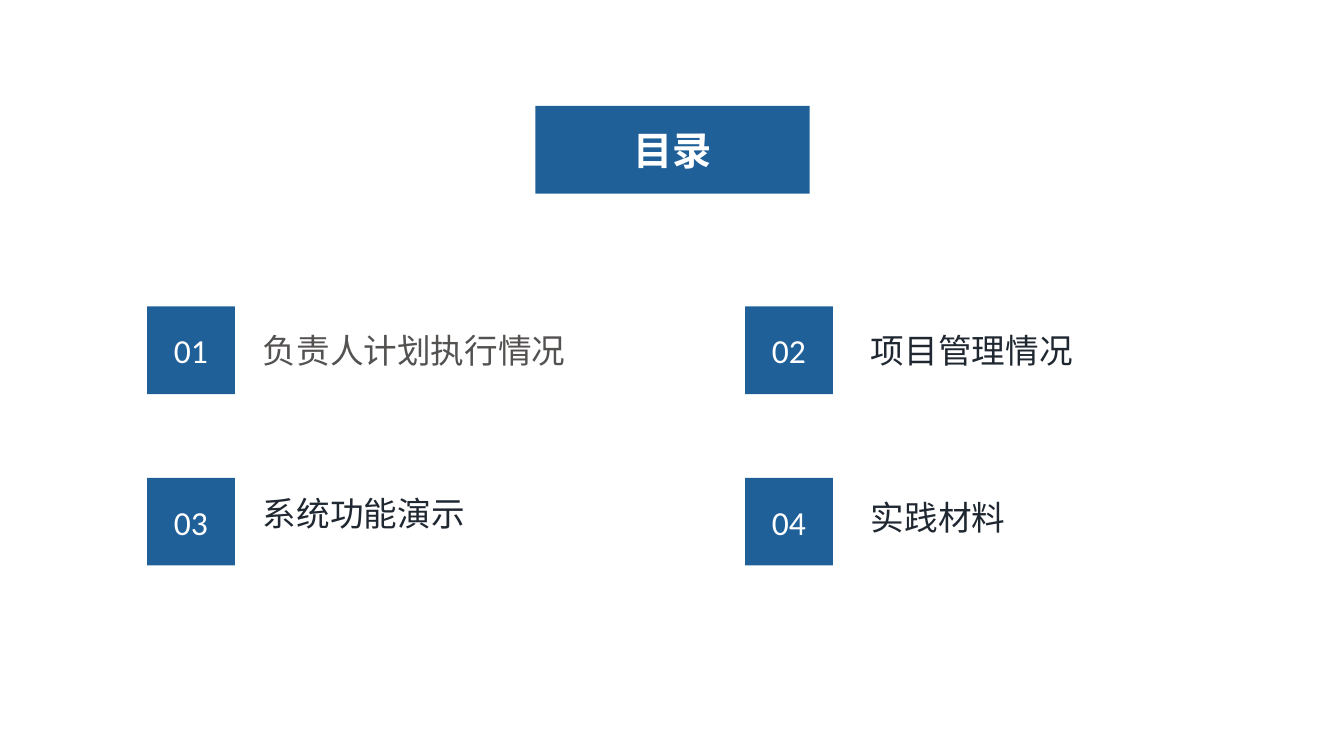
from dataclasses import dataclass

from pptx import Presentation
from pptx.dml.color import RGBColor
from pptx.enum.shapes import MSO_SHAPE
from pptx.enum.text import MSO_ANCHOR, MSO_AUTO_SIZE, PP_ALIGN
from pptx.util import Inches, Pt

RECTANGLE = MSO_SHAPE.RECTANGLE
MIDDLE, TOP = MSO_ANCHOR.MIDDLE, MSO_ANCHOR.TOP
LEFT, CENTER = PP_ALIGN.LEFT, PP_ALIGN.CENTER
NO_AUTOFIT, GROW = MSO_AUTO_SIZE.NONE, MSO_AUTO_SIZE.SHAPE_TO_FIT_TEXT
TITLE_ONLY_LAYOUT = 5

COLORS = {
    "blue": "206099",
    "white": "FFFFFF",
    "gray": "545251",
    "ink": "1F2731",
}

# Grid of the contents entries, in inches
COLUMNS = 2
BADGE_LEFT, BADGE_TOP, BADGE_SIZE = 1.46, 3.04, 0.87
COLUMN_STEP, ROW_STEP = 5.93, 1.7
LABEL_LEFTS = (2.51, 8.54)
LABEL_HEIGHT = 0.5


@dataclass(frozen=True)
class Entry:
    text: str
    label_top: float
    label_width: float
    color: str = "ink"
    font: str = "Calibri"


ENTRIES = [
    Entry("负责人计划执行情况", 3.22, 3.23, "gray", "Arial"),
    Entry("项目管理情况", 3.22, 2.22),
    Entry("系统功能演示", 4.84, 2.22),
    Entry("实践材料", 4.88, 1.55),
]


def write_text(shape, text: str, *, color: str, size: float = 24,
               font: str = "Calibri", bold: bool = False, align=CENTER,
               anchor=MIDDLE, wrap: bool = True, auto_size=NO_AUTOFIT) -> None:
    frame = shape.text_frame
    frame.word_wrap = wrap
    frame.auto_size = auto_size
    frame.vertical_anchor = anchor
    paragraph = frame.paragraphs[0]
    paragraph.alignment = align
    paragraph.line_spacing = 1.0
    run = paragraph.add_run()
    run.text = text
    run.font.name = font
    run.font.size = Pt(size)
    run.font.bold = bold
    run.font.color.rgb = RGBColor.from_string(COLORS[color])


def fill_blue(shape) -> None:
    shape.fill.solid()
    shape.fill.fore_color.rgb = RGBColor.from_string(COLORS["blue"])
    shape.line.fill.background()


def add_title(slide, text: str) -> None:
    title = slide.shapes.title
    title.left, title.top = Inches(5.31), Inches(1.05)
    title.width, title.height = Inches(2.72), Inches(0.87)
    fill_blue(title)
    write_text(title, text, color="white", size=28, bold=True)


def add_entry(slide, index: int, entry: Entry) -> None:
    row, column = divmod(index, COLUMNS)

    # Numbered square
    badge = slide.shapes.add_shape(
        RECTANGLE,
        Inches(BADGE_LEFT + column * COLUMN_STEP),
        Inches(BADGE_TOP + row * ROW_STEP),
        Inches(BADGE_SIZE), Inches(BADGE_SIZE))
    badge.shadow.inherit = False
    fill_blue(badge)
    write_text(badge, f"{index + 1:02d}", color="white")

    # Section name
    label = slide.shapes.add_textbox(
        Inches(LABEL_LEFTS[column]), Inches(entry.label_top),
        Inches(entry.label_width), Inches(LABEL_HEIGHT))
    write_text(label, entry.text, color=entry.color, font=entry.font,
               align=LEFT, anchor=TOP, wrap=False, auto_size=GROW)


def main() -> None:
    presentation = Presentation()
    presentation.slide_width = Inches(13.33)
    presentation.slide_height = Inches(7.5)
    layout = presentation.slide_layouts[TITLE_ONLY_LAYOUT]
    slide = presentation.slides.add_slide(layout)

    add_title(slide, "目录")
    for index, entry in enumerate(ENTRIES):
        add_entry(slide, index, entry)

    presentation.save("out.pptx")


if __name__ == "__main__":
    main()
